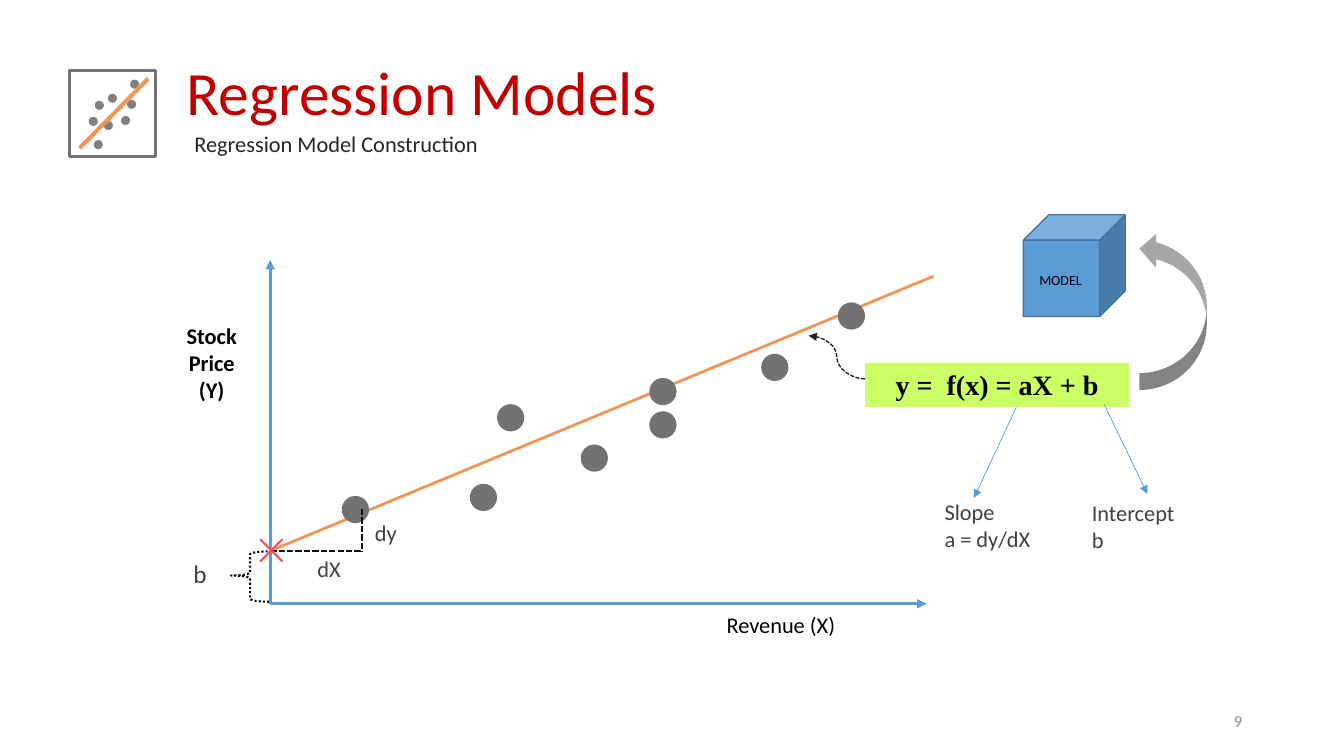
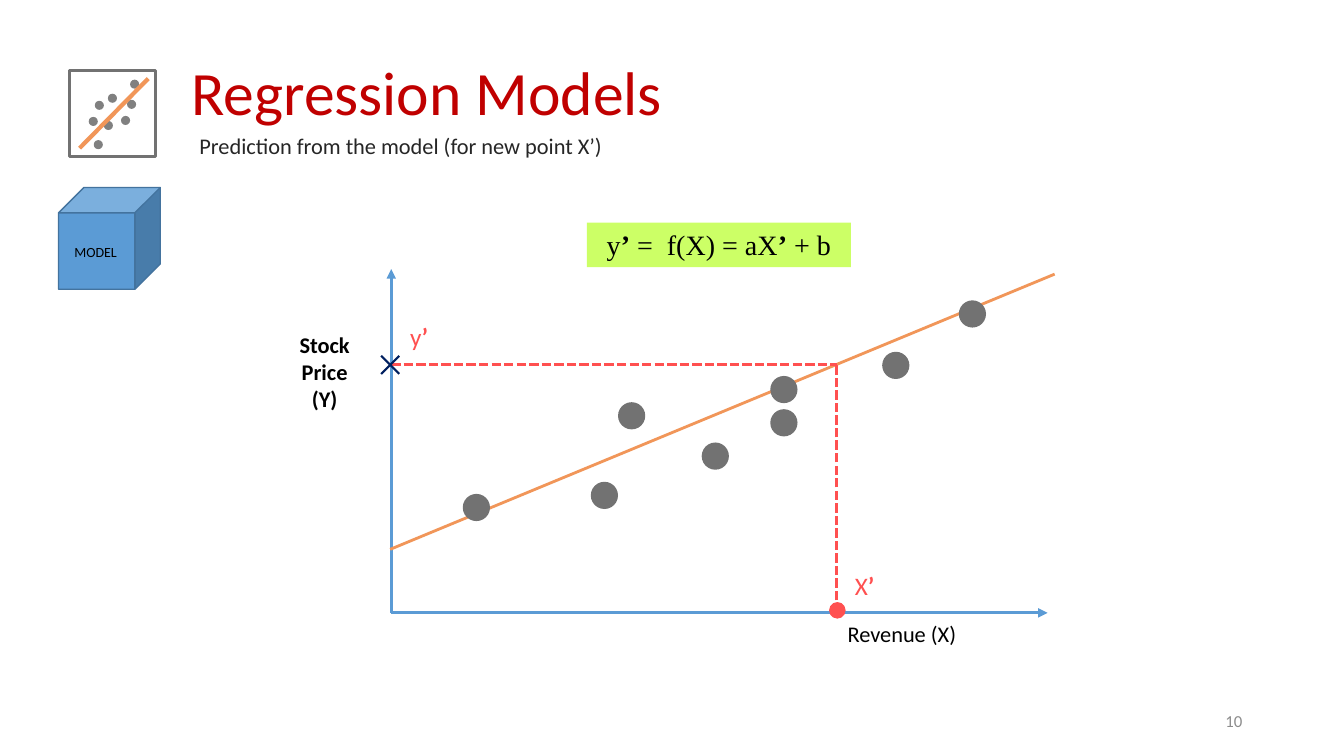
from typing import NamedTuple, Optional

from lxml import etree
from pptx import Presentation
from pptx import util as u
from pptx.dml import color as colors
from pptx.enum import dml, shapes as kinds, text as texts
from pptx.oxml import ns
from pptx.shapes import autoshape, connector as connectors, shapetree
from pptx.slide import Slide

COLORS = {
    "title": "C00000",
    "subtitle": "262626",
    "number": "8C8C8C",
    "text": "000000",
    "note": "404040",
    "frame": "727272",
    "icon_dot": "808080",
    "dot": "727272",
    "fit": "F19659",
    "axis": "5B9BD5",
    "cube": "5B9BD5",
    "cube_edge": "43739E",
    "equation": "CCFF66",
    "guide": "0D0D0D",
    "mark": "FF5050",
    "prediction": "002060",
    "arrow": "A6A6A6",
}
SHAPE = kinds.MSO_SHAPE
ALIGN = texts.PP_ALIGN
DASHED = dml.MSO_LINE.SQUARE_DOT
DOTTED = dml.MSO_LINE.ROUND_DOT


class Point(NamedTuple):
    x: float
    y: float

    def moved(self, dx: float, dy: float) -> "Point":
        return Point(self.x + dx, self.y + dy)


class Box(NamedTuple):
    left: float
    top: float
    width: float
    height: float


class Plot(NamedTuple):
    """Places of the axes, the fitted data and the centre of the y label."""
    origin: Point
    data_shift: Point
    y_label_center: float


ICON_DOTS = [
    Point(0.94, 1), Point(1.07, 0.93), Point(0.88, 1.16), Point(1.29, 0.79),
    Point(0.93, 1.39), Point(1.03, 1.2), Point(1.2, 1.15), Point(1.26, 0.99),
]
DATA_DOTS = [
    Point(3.39, 4.92), Point(4.66, 4.8), Point(4.93, 4.01), Point(5.76, 4.41),
    Point(6.44, 4.08), Point(6.44, 3.75), Point(7.55, 3.51), Point(8.31, 3),
]
FIT_START, FIT_END = Point(2.67, 5.47), Point(9.26, 2.74)


def rgb(name: str) -> colors.RGBColor:
    return colors.RGBColor.from_string(COLORS[name])


def add_figure(
    shapes: shapetree.SlideShapes,
    kind: kinds.MSO_SHAPE,
    box: Box,
    fill: Optional[str] = None,
    line: Optional[str] = None,
    width: float = 1,
) -> autoshape.Shape:
    shape = shapes.add_shape(kind, *map(u.Inches, box))
    shape.shadow.inherit = False
    if fill:
        shape.fill.solid()
        shape.fill.fore_color.rgb = rgb(fill)
    else:
        shape.fill.background()
    if line:
        shape.line.color.rgb = rgb(line)
        shape.line.width = u.Pt(width)
    else:
        shape.line.fill.background()
    return shape


def write(
    shape: autoshape.Shape,
    content: str,
    size: float = 16,
    color: str = "text",
    font: str = "Calibri",
    bold: bool = False,
    align: ALIGN = ALIGN.LEFT,
    middle: bool = False,
    line_spacing: float = 1,
    space_before: float = 0,
) -> None:
    """Fill a shape; each line is a paragraph and *stars* enclose bold runs."""
    frame = shape.text_frame
    frame.word_wrap = True
    anchors = texts.MSO_ANCHOR
    frame.vertical_anchor = anchors.MIDDLE if middle else anchors.TOP
    for index, line in enumerate(content.split("\n")):
        paragraph = frame.add_paragraph() if index else frame.paragraphs[0]
        paragraph.alignment = align
        paragraph.line_spacing = line_spacing
        paragraph.space_before = u.Pt(space_before)
        for position, part in enumerate(line.split("*")):
            if not part:
                continue
            run = paragraph.add_run()
            run.text = part
            run.font.name = font
            run.font.size = u.Pt(size)
            run.font.bold = bold or position % 2 == 1
            run.font.color.rgb = rgb(color)


def add_text(shapes: shapetree.SlideShapes, box: Box, content: str, **style) -> None:
    write(shapes.add_textbox(*map(u.Inches, box)), content, **style)


def add_line(
    shapes: shapetree.SlideShapes,
    start: Point,
    end: Point,
    color: str,
    width: float,
    dash: Optional[dml.MSO_LINE] = None,
    arrow: bool = False,
    kind: kinds.MSO_CONNECTOR = kinds.MSO_CONNECTOR.STRAIGHT,
) -> connectors.Connector:
    connector = shapes.add_connector(kind, *map(u.Inches, (*start, *end)))
    connector.line.color.rgb = rgb(color)
    connector.line.width = u.Pt(width)
    if dash:
        connector.line.dash_style = dash
    properties = connector.element.spPr
    if arrow:
        outline = properties.find(ns.qn("a:ln"))
        etree.SubElement(outline, ns.qn("a:tailEnd"), type="triangle")
    etree.SubElement(properties, ns.qn("a:effectLst"))
    return connector


def add_dots(
    shapes: shapetree.SlideShapes, corners: list[Point], size: float, color: str
) -> None:
    for corner in corners:
        add_figure(shapes, SHAPE.OVAL, Box(*corner, size, size), fill=color)


def add_cross(
    shapes: shapetree.SlideShapes, center: Point, reach: float, color: str
) -> None:
    for slope in (1, -1):
        add_line(shapes, center.moved(-reach, -reach * slope),
                 center.moved(reach, reach * slope), color, 1.5)


def add_header(
    slide: Slide, subtitle: str, number: int, title_left: float, subtitle_top: float
) -> None:
    """Add the title, subtitle, slide number and scatter icon."""
    shapes = slide.shapes
    add_text(shapes, Box(title_left, 0.22, 9.32, 1.45), "Regression Models",
             size=44, color="title", middle=True, line_spacing=0.9)
    add_text(shapes, Box(title_left + 0.08, subtitle_top, 4.91, 0.4), subtitle,
             color="subtitle", middle=True)
    add_text(shapes, Box(9.42, 6.95, 3, 0.4), str(number), size=12,
             color="number", align=ALIGN.RIGHT, middle=True)
    icon = shapes.add_group_shape().shapes
    add_figure(icon, SHAPE.RECTANGLE, Box(0.69, 0.7, 0.85, 0.85),
               line="frame", width=2.25)
    add_dots(icon, ICON_DOTS, 0.09, "icon_dot")
    add_line(icon, Point(0.79, 1.47), Point(1.47, 0.78), "fit", 3)


def add_model(slide: Slide, corner: Point) -> None:
    model = slide.shapes.add_group_shape().shapes
    add_figure(model, SHAPE.CUBE, Box(*corner, 1.01, 1.01),
               fill="cube", line="cube_edge")
    add_text(model, Box(*corner.moved(0.06, 0.51), 0.71, 0.27), "MODEL", size=10)


def add_equation(slide: Slide, corner: Point, content: str, bold: bool = False) -> None:
    shape = add_figure(slide.shapes, SHAPE.RECTANGLE, Box(*corner, 2.62, 0.44),
                       fill="equation")
    write(shape, content, size=20, font="Times New Roman", bold=bold,
          align=ALIGN.CENTER)


def add_plot(slide: Slide, plot: Plot) -> None:
    shapes, origin, shift = slide.shapes, plot.origin, plot.data_shift
    for tip in (origin.moved(0, -3.41), origin.moved(6.51, 0)):
        add_line(shapes, origin, tip, "axis", 2.25, arrow=True)
    add_text(shapes, Box(plot.y_label_center - 0.5, origin.y - 2.84, 1, 0.91),
             "Stock\nPrice\n(Y)", bold=True, align=ALIGN.CENTER)
    add_text(shapes, Box(origin.x + 3.68, origin.y + 0.06, 2.77, 0.34),
             "Revenue (X)", align=ALIGN.CENTER, line_spacing=0.89, space_before=3.5)
    add_line(shapes, FIT_START.moved(*shift), FIT_END.moved(*shift), "fit", 2)
    add_dots(shapes, [dot.moved(*shift) for dot in DATA_DOTS], 0.27, "dot")


def build_construction(slide: Slide) -> None:
    shapes = slide.shapes
    add_header(slide, "Regression Model Construction", 9, 1.75, 1.22)
    add_model(slide, Point(10.15, 2.13))
    add_plot(slide, Plot(Point(2.68, 5.99), Point(0, 0), 2.1))

    add_equation(slide, Point(8.58, 3.6), "y =  f(x) = aX + b", bold=True)
    add_text(shapes, Box(9.27, 4.89, 1.6, 0.91), "Slope\na = dy/dX", color="note")
    add_text(shapes, Box(10.73, 4.9, 1.29, 0.64), "Intercept\nb", color="note")
    add_line(shapes, Point(10.08, 4.04), Point(9.66, 4.94), "axis", 0.5, arrow=True)
    add_line(shapes, Point(10.95, 4.01), Point(11.38, 4.9), "axis", 0.5, arrow=True)
    add_line(shapes, Point(8.58, 3.76), Point(8.02, 3.33), "subtitle", 1,
             dash=DASHED, arrow=True, kind=kinds.MSO_CONNECTOR.CURVE)
    arrow = add_figure(shapes, SHAPE.CURVED_LEFT_ARROW,
                       Box(11.3, 2.3, 0.67, 1.57), fill="arrow")
    arrow.element.spPr.find(ns.qn("a:xfrm")).set("flipV", "1")

    brace = add_figure(shapes, SHAPE.LEFT_BRACE, Box(2.29, 5.47, 0.38, 0.5),
                       line="guide", width=1.5)
    brace.line.dash_style = DOTTED
    brace.adjustments[0], brace.adjustments[1] = 0.08, 0.48
    add_text(shapes, Box(1.82, 5.49, 0.38, 0.4), "b", size=18, color="note")

    step_corner = Point(3.59, 5.47)
    for end in (Point(2.68, 5.47), Point(3.59, 5.05)):
        add_line(shapes, end, step_corner, "guide", 1.5, dash=DASHED)
    add_text(shapes, Box(3.05, 5.46, 0.53, 0.37), "dX", color="note")
    add_text(shapes, Box(3.62, 5.1, 0.53, 0.37), "dy", color="note")
    add_cross(shapes, Point(2.69, 5.46), 0.11, "mark")


def build_prediction(slide: Slide) -> None:
    shapes = slide.shapes
    add_header(slide, "Prediction from the model (for new point X’)", 10, 1.8, 1.24)
    add_model(slide, Point(0.58, 1.86))
    add_plot(slide, Plot(Point(3.88, 6.08), Point(1.2, -0.02), 3.22))
    add_equation(slide, Point(5.82, 2.21), "y*’* =  f(X) = aX*’* + b")

    predicted = Point(8.3, 3.62)
    for start in (Point(predicted.x, 6.08), Point(3.88, predicted.y)):
        add_line(shapes, start, predicted, "mark", 2.25, dash=DASHED)
    add_cross(shapes, Point(3.87, 3.62), 0.09, "prediction")
    add_figure(shapes, SHAPE.OVAL, Box(8.23, 5.98, 0.15, 0.15),
               fill="mark", line="mark")
    add_text(shapes, Box(8.38, 5.61, 0.5, 0.4), "X*’*", size=18, color="mark")
    add_text(shapes, Box(3.97, 3.14, 0.5, 0.4), "y*’*", size=18, color="mark")


def main() -> None:
    presentation = Presentation()
    presentation.slide_width = u.Inches(13.33)
    presentation.slide_height = u.Inches(7.5)
    blank = presentation.slide_layouts[6]
    for build in (build_construction, build_prediction):
        build(presentation.slides.add_slide(blank))
    presentation.save("out.pptx")


if __name__ == "__main__":
    main()
